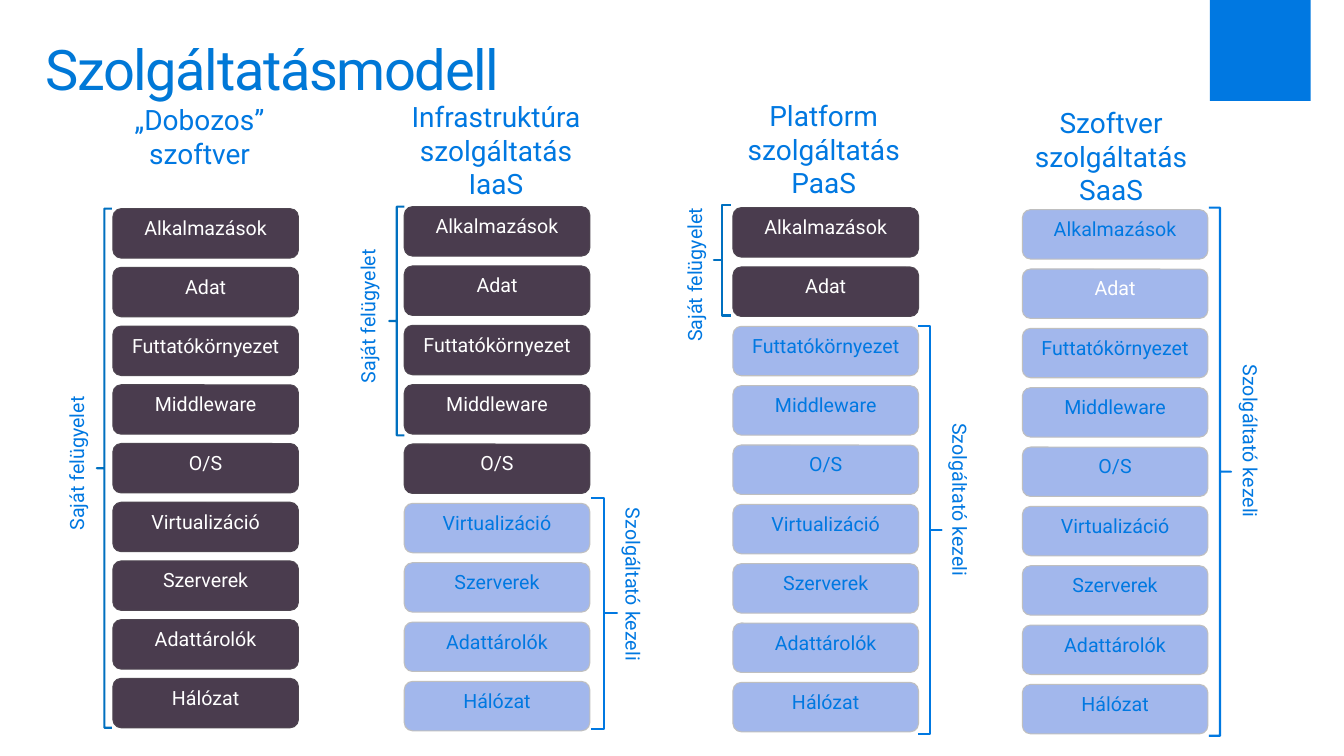
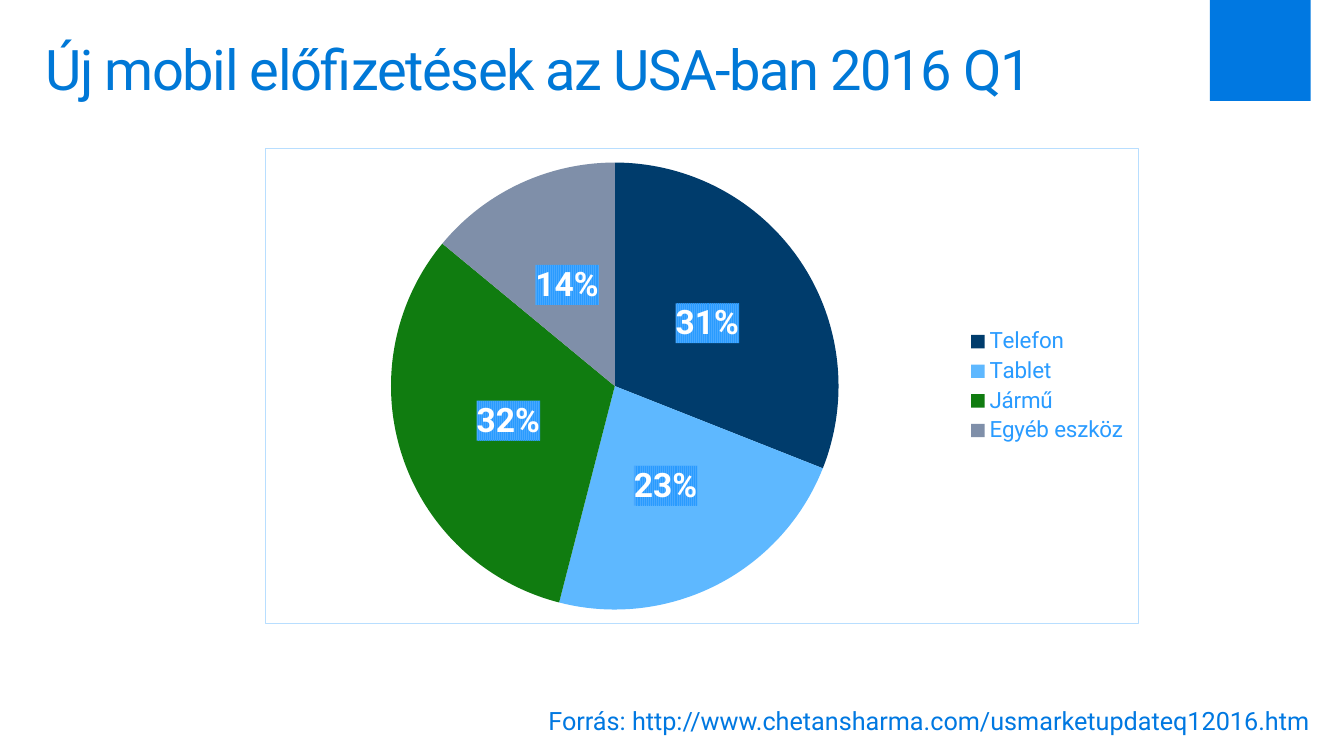
from lxml.etree import fromstring
from pptx import Presentation
from pptx.chart.data import CategoryChartData
from pptx.dml.color import RGBColor
from pptx.enum.chart import XL_CHART_TYPE, XL_LABEL_POSITION, XL_LEGEND_POSITION
from pptx.enum.shapes import MSO_SHAPE
from pptx.enum.text import MSO_ANCHOR, PP_ALIGN
from pptx.oxml.ns import nsdecls, qn
from pptx.util import Inches, Pt

FONT = "Roboto"
HUES = {
    "title": "0078D7", "blue": "0078E1", "brace": "0070C0", "white": "FFFFFF",
    "dark": "4A3C4E", "rim": "4F4651", "pale": "A2B7EC", "grey": "BFBFBF",
    "key": "299BFF", "stripe": "47A8FF", "frame": "B8DEFF",
}
LAYERS = ["Alkalmazások", "Adat", "Futtatókörnyezet", "Middleware", "O/S",
          "Virtualizáció", "Szerverek", "Adattárolók", "Hálózat"]
OWN, HOST = "Saját felügyelet", "Szolgáltató kezeli"

# Cloud outline: start, then two handles and an end per curve
CLOUD = (12.8, 0.67)
CURVES = [
    (12.79, 0.67, 12.78, 0.67, 12.77, 0.67),
    (12.77, 0.53, 12.65, 0.42, 12.51, 0.42),
    (12.38, 0.42, 12.28, 0.5, 12.25, 0.61),
    (12.22, 0.58, 12.16, 0.56, 12.11, 0.56),
    (12.01, 0.56, 11.92, 0.63, 11.91, 0.73),
    (11.88, 0.74, 11.85, 0.76, 11.82, 0.78),
    (11.8, 0.75, 11.77, 0.73, 11.73, 0.73),
    (11.67, 0.73, 11.62, 0.78, 11.62, 0.84),
    (11.62, 0.9, 11.67, 0.95, 11.73, 0.95),
    (12.09, 0.95, 12.45, 0.95, 12.81, 0.95),
    (12.88, 0.95, 12.94, 0.89, 12.94, 0.81),
    (12.94, 0.73, 12.87, 0.67, 12.8, 0.67),
]

# Columns: heading, its centre and top; box left, first and last top; dark count;
# braces: label, (left, top, width, height), label (left, top, height)
STACKS = [
    (["„Dobozos” szoftver"], 1.98, 0.97, 1.12, 2.07, 6.73, 9,
     [(OWN, (0.96, 2.07, 0.15, 5.15), (0.59, 3.69, 1.67))]),
    (["Infrastruktúra szolgáltatás", "IaaS"], 4.92, 0.94, 4.01, 2.05, 6.76, 5,
     [(HOST, (5.86, 4.94, 0.26, 2.29), (5.85, 4.94, 1.91)),
      (OWN, (3.86, 2.05, 0.15, 2.27), (3.48, 2.21, 1.69))]),
    (["Platform szolgáltatás", "PaaS"], 8.17, 0.93, 7.27, 2.06, 6.77, 2,
     [(HOST, (9.11, 3.23, 0.23, 4.05), (9.09, 4.1, 1.91)),
      (OWN, (7.08, 2.03, 0.17, 1.1), (6.72, 1.62, 1.87))]),
    (["Szoftver szolgáltatás", "SaaS"], 11.02, 1.0, 10.14, 2.08, 6.79, 0,
     [(HOST, (11.99, 2.06, 0.22, 5.24), (11.97, 3.52, 1.91))]),
]
SHARES = {"Telefon": (31, "003C6C"), "Tablet": (23, "5EB8FF"),
          "Jármű": (32, "107C10"), "Egyéb eszköz": (14, "7F8FA9")}


def tint(name):
    return RGBColor.from_string(HUES.get(name, name))


def style(font, size, hue, bold=False):
    font.name, font.size, font.bold = FONT, Pt(size), bold
    font.color.rgb = tint(hue)


def write(shape, lines, size=14, hue="blue", align=PP_ALIGN.LEFT,
          pad=(0.1, 0.05), turn=None, track=None, lead=None):
    frame = shape.text_frame
    frame.word_wrap = True
    frame.vertical_anchor = MSO_ANCHOR.TOP
    frame.margin_left = frame.margin_right = Inches(pad[0])
    frame.margin_top = frame.margin_bottom = Inches(pad[1])
    if turn:
        frame._txBody.bodyPr.set("vert", turn)
    for i, line in enumerate(lines):
        para = frame.add_paragraph() if i else frame.paragraphs[0]
        para.alignment = align
        if lead:
            para.line_spacing = lead
        run = para.add_run()
        run.text = line
        style(run.font, size, hue)
        if track:
            run._r.get_or_add_rPr().set("spc", str(track))


def label(slide, lines, x, y, w, h, **form):
    box = slide.shapes.add_textbox(*map(Inches, (x, y, w, h)))
    write(box, lines, **form)


def shape(slide, kind, place, fill, line, width):
    item = slide.shapes.add_shape(kind, *map(Inches, place))
    item.shadow.inherit = False
    if fill:
        item.fill.solid()
        item.fill.fore_color.rgb = tint(fill)
    else:
        item.fill.background()
    item.line.color.rgb = tint(line)
    item.line.width = Pt(width)
    return item


def cloud(slide):
    pen, points = CLOUD, []
    for a, b, c, d, x, y in CURVES:
        for t in (n / 8 for n in range(1, 9)):
            s = 1 - t
            points.append(tuple(
                s**3 * p + 3 * s * s * t * q + 3 * s * t * t * r + t**3 * e
                for p, q, r, e in zip(pen, (a, b), (c, d), (x, y))))
        pen = (x, y)
    form = slide.shapes.build_freeform(*CLOUD, scale=Inches(1))
    form.add_line_segments(points, close=True)
    item = form.convert_to_shape()
    item.shadow.inherit = False
    item.fill.solid()
    item.fill.fore_color.rgb = tint("blue")
    item.line.fill.background()


def page(deck, title):
    slide = deck.slides.add_slide(deck.slide_layouts[6])
    cloud(slide)
    label(slide, [title], 0.29, 0.32, 12.75, 0.98, size=40, hue="title",
          pad=(0.16, 0.1), track=-100, lead=0.9)
    return slide


def brace(slide, text, place, spot):
    own = text == OWN
    kind = MSO_SHAPE.LEFT_BRACE if own else MSO_SHAPE.RIGHT_BRACE
    item = shape(slide, kind, place, None, "brace" if own else "blue", 1.5)
    item.adjustments[0], item.adjustments[1] = 0, 0.5
    x, y, h = spot
    label(slide, [text], x, y, 0.6, h, turn="vert270" if own else "eaVert")


def stack(slide, head, mid, top, left, first, last, darks, braces):
    label(slide, head, mid - 1.05, top, 2.1, 1.1, size=20,
          align=PP_ALIGN.CENTER, pad=(0, 0.05))
    step = (last - first) / (len(LAYERS) - 1)
    for i, name in enumerate(LAYERS):
        own = i < darks
        fill, line = ("dark", "rim") if own else ("pale", "grey")
        box = shape(slide, MSO_SHAPE.ROUNDED_RECTANGLE,
                    (left, first + i * step, 1.84, 0.49), fill, line, 0.75)
        white = own or (name == "Adat" and not darks)
        write(box, [name], hue="white" if white else "blue",
              align=PP_ALIGN.CENTER)
    for item in braces:
        brace(slide, *item)


def pie(slide):
    data = CategoryChartData()
    data.categories = list(SHARES)
    data.add_series("Series 1", [value for value, _ in SHARES.values()])
    chart = slide.shapes.add_chart(
        XL_CHART_TYPE.PIE, *map(Inches, (2.63, 1.47, 8.67, 4.72)), data).chart
    style(chart.font, 10, "blue")
    chart.has_title = False
    chart.has_legend = True
    chart.legend.position = XL_LEGEND_POSITION.RIGHT
    chart.legend.include_in_layout = False
    style(chart.legend.font, 16, "key")

    # Slices
    plot = chart.plots[0]
    plot.vary_by_categories = True
    row = plot.series[0]
    for i, (_, hue) in enumerate(SHARES.values()):
        fill = row.points[i].format.fill
        fill.solid()
        fill.fore_color.rgb = tint(hue)

    # Labels on a striped ground
    tags = row.data_labels
    tags.show_percentage, tags.show_value = True, False
    tags.number_format, tags.number_format_is_linked = "0%", False
    tags.position = XL_LABEL_POSITION.CENTER
    style(tags.font, 24, "white", bold=True)
    ground(tags._element, '<a:pattFill prst="narVert">'
           f'<a:fgClr><a:srgbClr val="{HUES["key"]}"/></a:fgClr>'
           f'<a:bgClr><a:srgbClr val="{HUES["stripe"]}"/></a:bgClr></a:pattFill>')
    # Frame
    ground(chart._chartSpace, '<a:noFill/><a:ln w="9525"><a:solidFill>'
           f'<a:srgbClr val="{HUES["frame"]}"/></a:solidFill></a:ln>')


def ground(node, body):
    node.find(qn("c:txPr")).addprevious(
        fromstring(f'<c:spPr {nsdecls("c", "a")}>{body}</c:spPr>'))


def main():
    deck = Presentation()
    deck.slide_width, deck.slide_height = Inches(13.33), Inches(7.5)

    # Service models
    slide = page(deck, "Szolgáltatásmodell")
    for item in STACKS:
        stack(slide, *item)

    # New contracts
    slide = page(deck, "Új mobil előfizetések az USA-ban 2016 Q1")
    label(slide, ["Forrás: http://www.chetansharma.com/usmarketupdateq12016.htm"],
          5.34, 6.95, 7.99, 0.4, size=18)
    pie(slide)

    deck.save("out.pptx")


if __name__ == "__main__":
    main()
